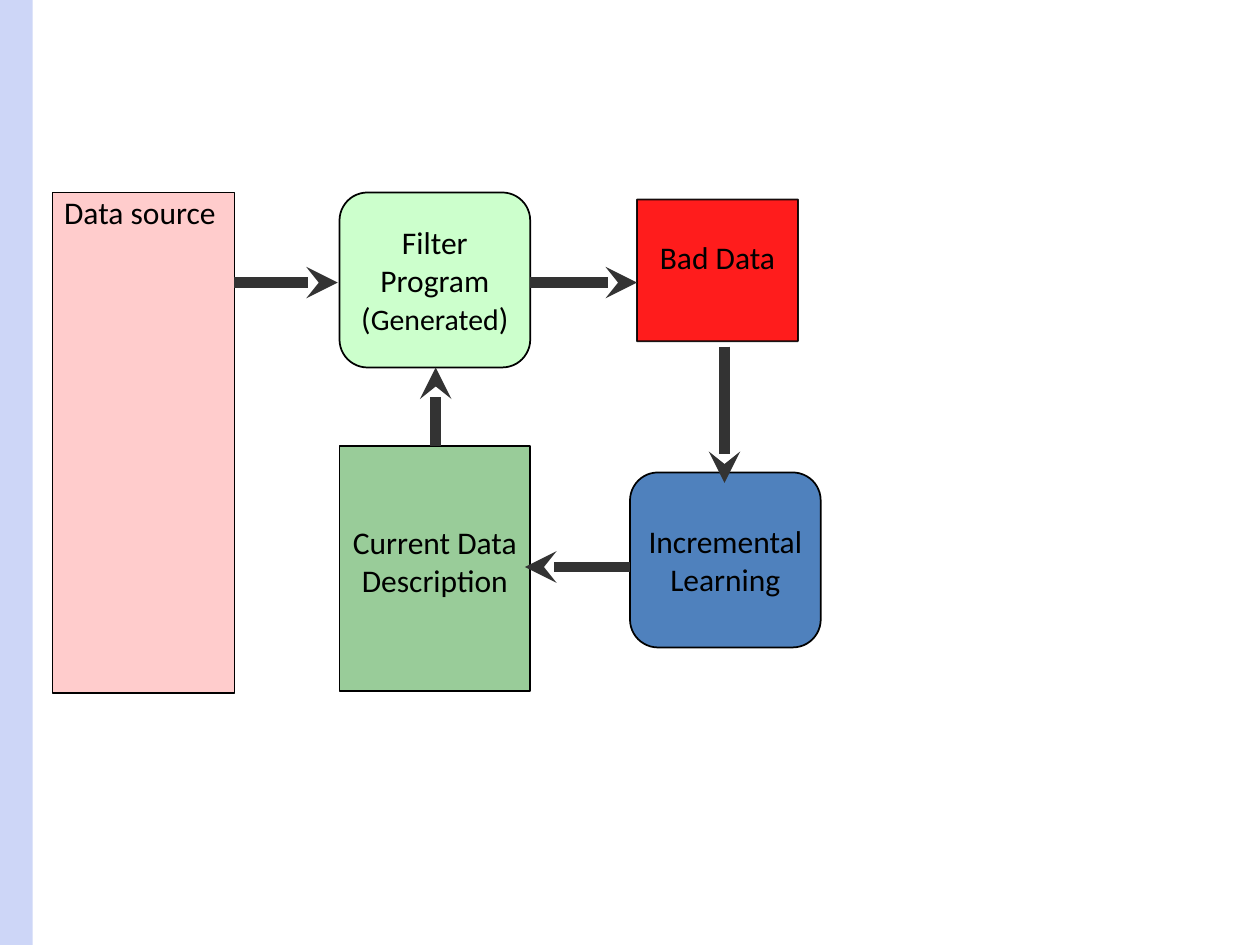
from lxml import etree
from pptx import Presentation
from pptx.dml import color
from pptx.enum import shapes, text
from pptx.oxml import ns
from pptx.util import Pt

FONT = "Calibri"
BLACK = "000000"
ARROW_GREY = "333333"
RECT = shapes.MSO_SHAPE.RECTANGLE
ROUNDED = shapes.MSO_SHAPE.ROUNDED_RECTANGLE
TOP = text.MSO_ANCHOR.TOP
MIDDLE = text.MSO_ANCHOR.MIDDLE
LINE_HEIGHT = 22


def paint(target, hex_color, opacity=100):
    target.solid()
    target.fore_color.rgb = color.RGBColor.from_string(hex_color)
    if opacity < 100:
        for tint in target._xPr.iter(ns.qn("a:srgbClr")):
            etree.SubElement(tint, ns.qn("a:alpha"), val=str(opacity * 1000))


def add_block(page, kind, bounds, fill):
    block = page.shapes.add_shape(kind, *(Pt(length) for length in bounds))
    block.shadow.inherit = False
    paint(block.fill, fill)
    block.line.fill.background()
    return block


def add_stage(page, kind, bounds, fill, runs, anchor=TOP, lines_above=0, opacity=100):
    stage = add_block(page, kind, bounds, fill)
    paint(stage.fill, fill, opacity)
    paint(stage.line.fill, BLACK, opacity)
    stage.line.width = Pt(1)
    if kind == ROUNDED:
        stage.adjustments[0] = 0.16
    frame = stage.text_frame
    frame.word_wrap = True
    frame.vertical_anchor = anchor
    frame.margin_left = frame.margin_right = Pt(3)
    frame.margin_top = Pt(lines_above * LINE_HEIGHT)
    frame.margin_bottom = 0
    para = frame.paragraphs[0]
    para.alignment = text.PP_ALIGN.CENTER
    para.font.name = FONT
    para.font.color.rgb = color.RGBColor.from_string(BLACK)
    for words, size in runs:
        span = para.add_run()
        span.text = words
        span.font.size = Pt(size)


def add_arrow(page, start, tip):
    arrow = page.shapes.add_connector(
        shapes.MSO_CONNECTOR.STRAIGHT, *(Pt(length) for length in start + tip))
    paint(arrow.line.fill, ARROW_GREY)
    arrow.line.width = Pt(6)
    etree.SubElement(arrow.line._get_or_add_ln(), ns.qn("a:tailEnd"), type="stealth")
    etree.SubElement(arrow._element.spPr, ns.qn("a:effectLst"))


def main():
    deck = Presentation()
    deck.slide_width, deck.slide_height = Pt(720), Pt(540)
    page = deck.slides.add_slide(deck.slide_layouts[6])

    add_block(page, RECT, (0, 0, 18.7, 540), "CDD6F7")
    add_stage(page, RECT, (30, 110, 104, 286), "FFCCCC", [("Data source ", 18)])
    add_stage(page, ROUNDED, (194, 110, 109, 100), "CCFFCC",
              [("Filter Program (", 18), ("Generated", 17), (")", 18)], MIDDLE)
    add_stage(page, RECT, (194, 255, 109, 140), "99CC99",
              [("Current Data Description", 18)], lines_above=2)
    add_stage(page, RECT, (364, 114, 92, 81), "FF0000",
              [("Bad Data", 18)], lines_above=1, opacity=89)
    add_stage(page, ROUNDED, (360, 270, 109, 100), "4F81BD",
              [("Incremental Learning", 18)], MIDDLE)

    for start, tip in (
        ((134, 161.5), (193, 161.5)),
        ((303, 161.5), (364, 161.5)),
        ((414, 198), (414, 276)),
        ((360, 324), (300, 324)),
        ((249, 255), (249, 210)),
    ):
        add_arrow(page, start, tip)

    deck.save("out.pptx")


if __name__ == "__main__":
    main()
